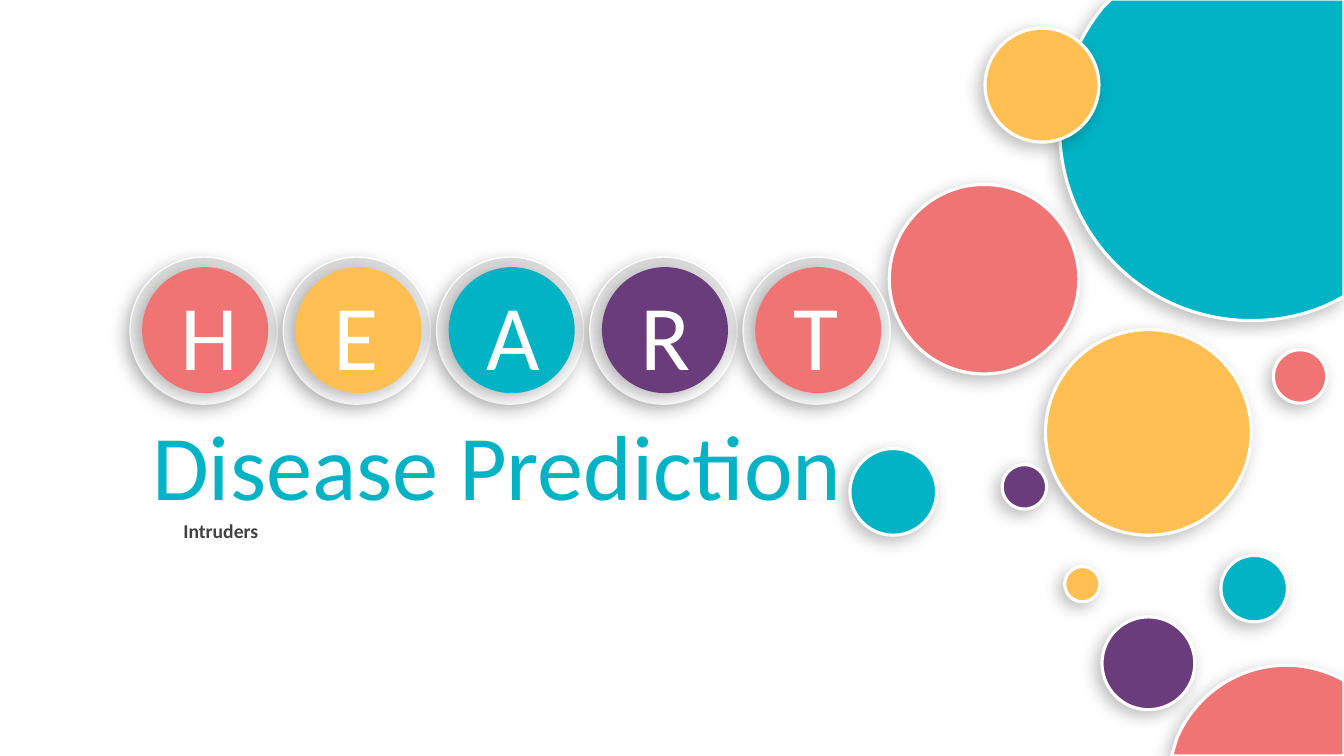
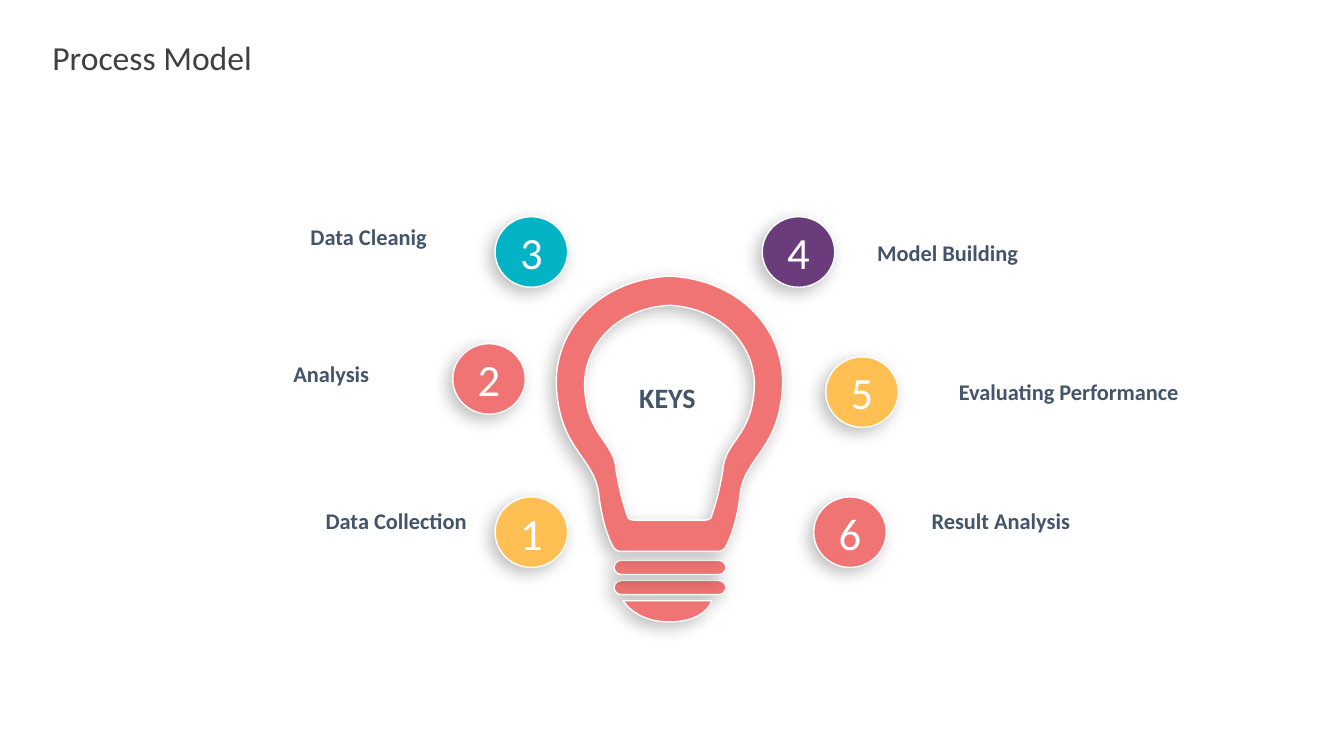
from dataclasses import dataclass

from lxml.etree import SubElement
from pptx import Presentation
from pptx.dml.color import RGBColor
from pptx.enum.shapes import MSO_SHAPE
from pptx.enum.text import MSO_ANCHOR, MSO_AUTO_SIZE, PP_ALIGN
from pptx.oxml.ns import qn
from pptx.util import Emu, Pt

PX = 9144  # EMU in one px (100 px to the inch)
FONT = "Calibri"

WHITE = RGBColor(0xFF, 0xFF, 0xFF)
SILVER = RGBColor(0xD9, 0xD9, 0xD9)
TEAL = RGBColor(0x02, 0xB3, 0xC5)
CORAL = RGBColor(0xF0, 0x74, 0x74)
AMBER = RGBColor(0xFF, 0xBF, 0x53)
PURPLE = RGBColor(0x6A, 0x3C, 0x7C)
SLATE = RGBColor(0x44, 0x54, 0x69)
CHARCOAL = RGBColor(0x42, 0x42, 0x42)
TITLE_GREY = RGBColor(0x40, 0x40, 0x40)


@dataclass(frozen=True)
class Bubble:
    left: int
    top: int
    size: int
    color: RGBColor


@dataclass(frozen=True)
class CutBubble:
    """A bubble cut off by the slide edge."""
    outline: list
    color: RGBColor


@dataclass(frozen=True)
class Step:
    number: int
    left: int
    top: int
    color: RGBColor
    label: str
    label_left: int
    label_top: int
    label_width: int = 214


# Outlines: a pair is a straight point, six numbers are a Bézier curve
BUBBLES = [
    Bubble(1037, 327, 204, AMBER),
    CutBubble([(1102, -1), (1333, -1), (1333, 294), (1331, 295),
               (1305, 310, 1274, 318, 1241, 318), (1136, 318, 1051, 233, 1051, 128),
               (1051, 82, 1067, 40, 1094, 7)], TEAL),
    Bubble(882, 183, 188, CORAL),
    Bubble(1093, 612, 92, PURPLE),
    Bubble(1211, 551, 66, TEAL),
    CutBubble([(1276, 660), (1293, 660, 1309, 664, 1323, 670), (1333, 675),
               (1333, 750), (1162, 750), (1167, 733),
               (1185, 690, 1227, 660, 1276, 660)], CORAL),
    Bubble(977, 28, 113, AMBER),
    Bubble(1263, 347, 53, CORAL),
    Bubble(1056, 562, 35, AMBER),
    Bubble(843, 445, 86, TEAL),
    Bubble(994, 461, 44, PURPLE),
]
HEART_LETTERS = zip("HEART", (CORAL, AMBER, TEAL, PURPLE, CORAL))
LETTER_LEFT, LETTER_PITCH = 129, 152

STEPS = [
    Step(3, 491, 215, TEAL, "Data Cleanig", 308, 221),
    Step(2, 449, 341, CORAL, "Analysis", 291, 357),
    Step(1, 491, 493, AMBER, "Data Collection", 323, 503),
    Step(6, 807, 493, CORAL, "Result Analysis", 924, 503),
    Step(4, 756, 215, PURPLE, "Model Building", 870, 237),
    Step(5, 819, 354, AMBER, "Evaluating Performance", 951, 375, 349),
]

BULB_CAP = [(618, 596), (706, 596), (706, 596, 700, 618, 661, 617),
            (630, 616, 618, 596, 618, 596)]
# Left halves of the bulb, mirrored about its axis
BULB_AXIS = 664
BULB_OUTER = [(662, 274), (590, 279, 548, 331, 552, 386),
              (556, 447, 590, 454, 594, 491), (598, 527, 609, 544, 609, 544),
              (611, 546, 613, 547, 615, 547)]
BULB_INNER = [(662, 303), (609, 307, 577, 346, 580, 387),
              (583, 433, 609, 438, 611, 466), (615, 493, 623, 514, 623, 514),
              (624, 515, 626, 516, 628, 516)]


def px(length: int) -> Emu:
    return Emu(length * PX)


def style(shape, color, line_width: float = 0):
    """Fill, white outline and the soft shadow that all shapes share."""
    if color is not None:
        shape.fill.solid()
        shape.fill.fore_color.rgb = color
    if line_width:
        shape.line.color.rgb = WHITE
        shape.line.width = Pt(line_width)
    else:
        shape.line.fill.background()
    shape.shadow.inherit = False
    effects = shape._element.spPr.find(qn("a:effectLst"))
    shadow = SubElement(effects, qn("a:outerShdw"), blurRad=str(Pt(12)),
                        dist=str(Pt(5)), dir=str(135 * 60000),
                        algn="tr", rotWithShape="0")
    black = SubElement(shadow, qn("a:srgbClr"), val="000000")
    SubElement(black, qn("a:alpha"), val="26000")
    return shape


def write(frame, text: str, *, size: float, color: RGBColor, bold: bool = False,
          align: PP_ALIGN = PP_ALIGN.LEFT) -> None:
    paragraph = frame.paragraphs[0]
    paragraph.alignment = align
    run = paragraph.add_run()
    run.text = text
    run.font.name = FONT
    run.font.size = Pt(size)
    run.font.bold = bold
    run.font.color.rgb = color


def text_box(slide, left: int, top: int, width: int, height: int, text: str,
             *, inset: bool = True, **text_format) -> None:
    frame = slide.shapes.add_textbox(px(left), px(top), px(width), px(height)).text_frame
    frame.word_wrap = True
    frame.auto_size = MSO_AUTO_SIZE.SHAPE_TO_FIT_TEXT
    if not inset:
        frame.margin_left = frame.margin_right = 0
        frame.margin_top = frame.margin_bottom = 0
    write(frame, text, **text_format)


def preset(slide, kind: MSO_SHAPE, left: int, top: int, width: int, height: int,
           color=None, line_width: float = 0):
    shape = slide.shapes.add_shape(kind, px(left), px(top), px(width), px(height))
    return style(shape, color, line_width)


def outline_points(outline: list) -> list[tuple[int, int]]:
    return [pair for segment in outline for pair in zip(segment[::2], segment[1::2])]


def mirrored(half: list) -> list:
    """Closes a left half, made of curves only, with its mirror image."""
    right = [(2 * BULB_AXIS - x, y) for x, y in reversed(outline_points(half))]
    curves = [right[i] + right[i + 1] + right[i + 2] for i in range(1, len(right), 3)]
    return half + [right[0]] + curves


def freeform(slide, outlines: list, color: RGBColor, line_width: float) -> None:
    builder = None
    for outline in outlines:
        start, *rest = [(px(x), px(y)) for x, y in outline_points(outline)]
        if builder is None:
            builder = slide.shapes.build_freeform(*start, scale=1.0)
        else:
            builder.move_to(*start)
        builder.add_line_segments(rest, close=True)
    shape = style(builder.convert_to_shape(), color, line_width)
    # Join each three points of a curve into one Bézier segment
    lines = iter(list(shape._element.spPr.iter(qn("a:lnTo"))))
    for outline in outlines:
        for segment in outline[1:]:
            first = next(lines)
            if len(segment) == 6:
                first.tag = qn("a:cubicBezTo")
                for _ in range(2):
                    extra = next(lines)
                    first.append(extra[0])
                    extra.getparent().remove(extra)


def letter_badge(slide, left: int, letter: str, color: RGBColor) -> None:
    ring = preset(slide, MSO_SHAPE.OVAL, left, 255, 146, 146, line_width=1)
    ring.fill.gradient()
    ring.fill.gradient_angle = 90
    for stop, stop_color in zip(ring.fill.gradient_stops, (WHITE, SILVER)):
        stop.color.rgb = stop_color
    preset(slide, MSO_SHAPE.OVAL, left + 12, 265, 125, 125, color)
    text_box(slide, left + 40, 271, 77, 121, letter, size=66, color=WHITE)


def process_step(slide, step: Step) -> None:
    badge = preset(slide, MSO_SHAPE.OVAL, step.left, step.top, 72, 70, step.color, 1)
    badge.text_frame.vertical_anchor = MSO_ANCHOR.MIDDLE
    write(badge.text_frame, str(step.number), size=31.9, color=WHITE,
          align=PP_ALIGN.CENTER)
    text_box(slide, step.label_left, step.label_top, step.label_width, 27, step.label,
             inset=False, size=16, color=SLATE, bold=True)


def build_cover(slide) -> None:
    # Bubbles on the right
    for bubble in BUBBLES:
        if isinstance(bubble, CutBubble):
            freeform(slide, [bubble.outline], bubble.color, 2.25)
        else:
            preset(slide, MSO_SHAPE.OVAL, bubble.left, bubble.top, bubble.size,
                   bubble.size, bubble.color, 2.25)
    # Title
    for index, (letter, color) in enumerate(HEART_LETTERS):
        letter_badge(slide, LETTER_LEFT + index * LETTER_PITCH, letter, color)
    text_box(slide, 141, 400, 743, 121, "Disease Prediction", size=66, color=TEAL)
    text_box(slide, 172, 510, 319, 34, "Intruders", size=14, color=CHARCOAL,
             bold=True, align=PP_ALIGN.JUSTIFY)


def build_process(slide) -> None:
    text_box(slide, 42, 32, 465, 50, "Process Model", size=24, color=TITLE_GREY)
    # Light bulb
    for thread_top in (576, 556):
        thread = preset(slide, MSO_SHAPE.ROUNDED_RECTANGLE, 609, thread_top, 111, 14,
                        CORAL, 1)
        thread.adjustments[0] = 0.5
    freeform(slide, [BULB_CAP], CORAL, 1)
    freeform(slide, [mirrored(BULB_OUTER), mirrored(BULB_INNER)], CORAL, 1)
    # Numbered steps around it
    for step in STEPS:
        process_step(slide, step)
    text_box(slide, 587, 377, 150, 34, "KEYS", inset=False, size=20, color=SLATE,
             bold=True, align=PP_ALIGN.CENTER)


def main() -> None:
    deck = Presentation()
    deck.slide_width, deck.slide_height = px(1333), px(750)
    blank = deck.slide_layouts[6]
    for build in (build_cover, build_process):
        build(deck.slides.add_slide(blank))
    deck.save("out.pptx")


if __name__ == "__main__":
    main()
